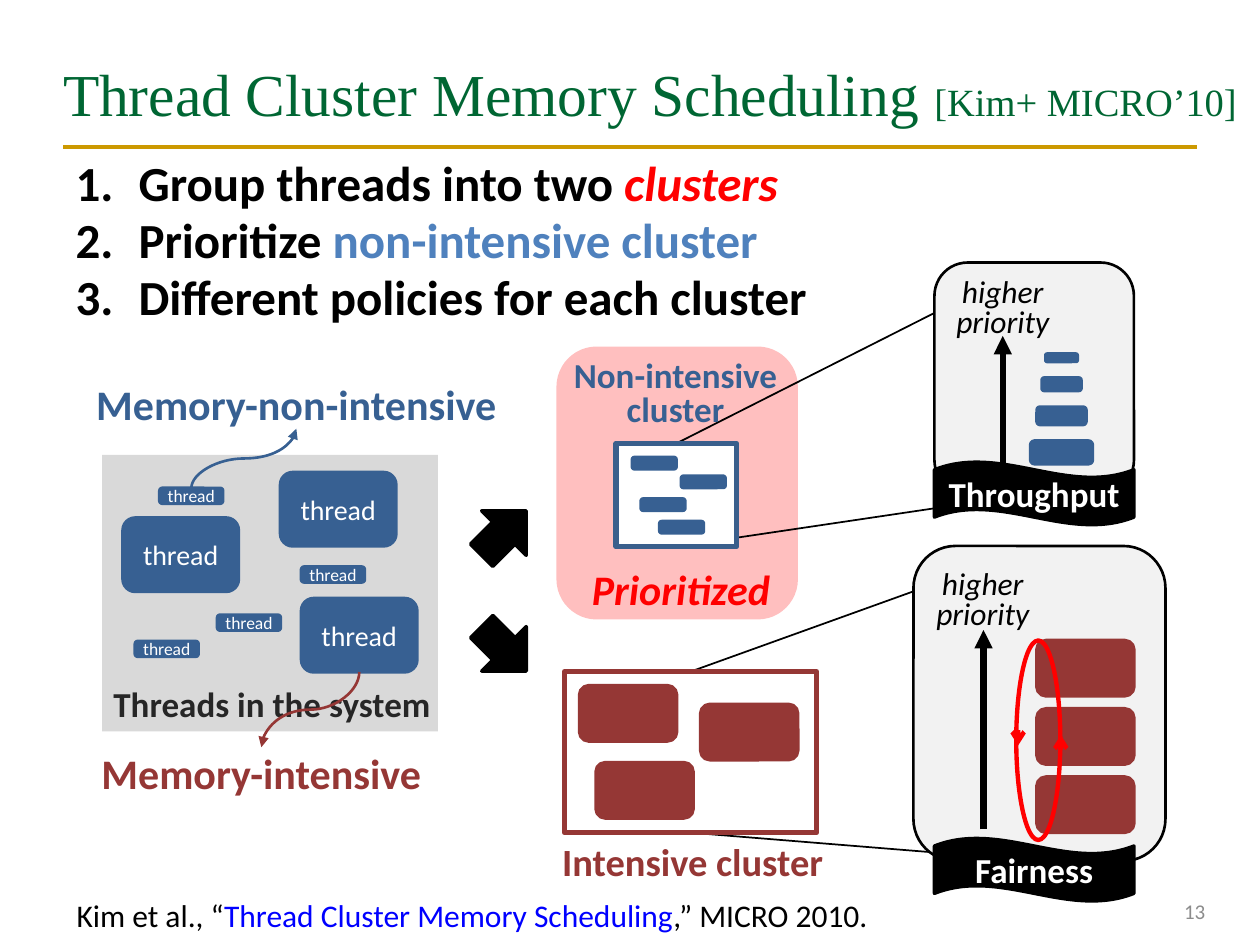
from dataclasses import dataclass

from lxml import etree
from pptx import Presentation
from pptx.dml.color import RGBColor
from pptx.enum import shapes as kinds, text as t
from pptx.oxml.ns import qn
from pptx.util import Pt

SHAPE, LINE, ALIGN = kinds.MSO_SHAPE, kinds.MSO_CONNECTOR, t.PP_ALIGN
TOP, BOTTOM = 0, 2


@dataclass(frozen=True)
class Theme:
    serif: str = "Times New Roman"
    sans: str = "Calibri"
    black: str = "000000"
    white: str = "FFFFFF"
    green: str = "006633"
    gold: str = "CC9900"
    red: str = "FF0000"
    blue: str = "376092"
    frame_blue: str = "3A5F8C"
    light_blue: str = "4F81BD"
    link_blue: str = "0000FF"
    brick: str = "953735"
    charcoal: str = "262626"
    number_gray: str = "8C8C8C"
    system_gray: str = "D9D9D9"
    panel_gray: str = "F2F2F2"
    title: int = 34
    citation: int = 22
    body: int = 28
    heading: int = 24
    caption: int = 22
    label: int = 20
    note: int = 18
    thread: int = 16
    number: int = 12
    small_thread: int = 10


THEME = Theme()
TILE = (55.5, 31.7)


def points(*values):
    return [Pt(value) for value in values]


def add_runs(paragraph, runs, **base):
    """Add (text, changes) runs, each formatted by base updated with its changes."""
    for words, changes in runs:
        run = paragraph.add_run()
        run.text = words
        values = {"name": THEME.sans, "color": THEME.black, **base, **changes}
        run.font.color.rgb = RGBColor.from_string(values.pop("color"))
        for name, value in values.items():
            setattr(run.font, name, Pt(value) if name == "size" else value)


def set_frame(frame, insets=(0, 0), anchor=t.MSO_ANCHOR.TOP):
    across, down = points(*insets)
    values = {"word_wrap": True, "auto_size": t.MSO_AUTO_SIZE.NONE, "vertical_anchor": anchor,
              "margin_left": across, "margin_right": across, "margin_top": down, "margin_bottom": down}
    for name, value in values.items():
        setattr(frame, name, value)


def write(frame, lines, align=ALIGN.CENTER, spacing=1.0, **font):
    for index, words in enumerate(lines):
        paragraph = frame.add_paragraph() if index else frame.paragraphs[0]
        paragraph.alignment, paragraph.line_spacing = align, spacing
        add_runs(paragraph, [(words, {})], **font)


def add_label(slide, box, lines, insets=(0, 0), **format_values):
    frame = slide.shapes.add_textbox(*points(*box)).text_frame
    set_frame(frame, insets)
    write(frame, lines, **format_values)


def add_shape(parent, kind, box, fill=None, line=None, width=2):
    shape = parent.shapes.add_shape(kind, *points(*box))
    shape.shadow.inherit = False
    if fill:
        shape.fill.solid()
        shape.fill.fore_color.rgb = RGBColor.from_string(fill)
    else:
        shape.fill.background()
    if line:
        shape.line.color.rgb = RGBColor.from_string(line)
        shape.line.width = Pt(width)
    else:
        shape.line.fill.background()
    return shape


def add_block(parent, box, color):
    return add_shape(parent, SHAPE.ROUNDED_RECTANGLE, box, color, color)


def add_line(slide, start, end, color, width, head=None, kind=LINE.STRAIGHT):
    connector = slide.shapes.add_connector(kind, *points(*start, *end))
    connector.line.color.rgb = RGBColor.from_string(color)
    connector.line.width = Pt(width)
    properties = connector.element.spPr
    if head:
        etree.SubElement(properties.find(qn("a:ln")), qn("a:tailEnd"), type=head)
    etree.SubElement(properties, qn("a:effectLst"))
    return connector


def add_vertical_curve(slide, start, end, color):
    """Draw an S-curve that leaves and arrives vertically, by a quarter turn."""
    middle_x, middle_y = (start[0] + end[0]) / 2, (start[1] + end[1]) / 2
    half_x, half_y = (end[1] - start[1]) / 2, (start[0] - end[0]) / 2
    curve = add_line(slide, (middle_x - half_x, middle_y - half_y), (middle_x + half_x, middle_y + half_y),
                     color, 1.5, "triangle", LINE.CURVE)
    curve.element.spPr.find(qn("a:xfrm")).set("rot", str(90 * 60000))


def place(placeholder, box):
    for name, value in zip(("left", "top", "width", "height"), points(*box)):
        setattr(placeholder, name, value)


def add_title(slide, box):
    title = slide.shapes.title
    place(title, box)
    set_frame(title.text_frame, (0, 3.6), t.MSO_ANCHOR.MIDDLE)
    paragraph = title.text_frame.paragraphs[0]
    paragraph.alignment = ALIGN.LEFT
    add_runs(paragraph, [("Thread Cluster Memory Scheduling ", {}), ("[Kim+ MICRO’10]", {"size": THEME.citation})],
             name=THEME.serif, size=THEME.title, color=THEME.green)
    add_line(slide, (36, 83.8), (684, 83.8), THEME.gold, 2.25)


def add_steps(slide, box):
    body = slide.placeholders[1]
    place(body, box)
    set_frame(body.text_frame, (7.2, 3.6))
    steps = [
        [("Group threads into two ", {}), ("clusters", {"color": THEME.red, "italic": True})],
        [("Prioritize ", {}), ("non-intensive cluster", {"color": THEME.light_blue})],
        [("Different policies for each cluster", {})],
    ]
    for index, runs in enumerate(steps):
        paragraph = body.text_frame.add_paragraph() if index else body.text_frame.paragraphs[0]
        paragraph.line_spacing = 0.8
        paragraph.space_before = Pt(5.6 if index else 0)
        properties = paragraph._p.get_or_add_pPr()
        properties.set("marL", str(Pt(36)))
        properties.set("indent", str(Pt(-36)))
        etree.SubElement(properties, qn("a:buFont"), typeface="+mj-lt")
        etree.SubElement(properties, qn("a:buAutoNum"), type="arabicPeriod")
        paragraph.font.bold = True
        paragraph.font.size = Pt(THEME.body)
        add_runs(paragraph, runs, size=THEME.body, bold=True)


def add_system(slide, box):
    x, y, width, height = box
    add_shape(slide, SHAPE.RECTANGLE, box, THEME.system_gray)
    thread_sets = [
        ((36, 8.6), THEME.small_thread, [(66, 91.5), (33, 19), (114, 64), (19, 106.5)]),
        ((66, 42), THEME.thread, [(12, 36), (114, 82), (102, 10)]),
    ]
    for size, type_size, offsets in thread_sets:
        for dx, dy in offsets:
            frame = add_block(slide, (x + dx, y + dy, *size), THEME.blue).text_frame
            set_frame(frame, (0, 3.6), t.MSO_ANCHOR.MIDDLE)
            write(frame, ["thread"], size=type_size, color=THEME.white)
    add_label(slide, (x + 6.5, y + 130, 198, 24), ["Threads in the system"],
              align=ALIGN.LEFT, size=THEME.label, bold=True, color=THEME.charcoal)
    add_label(slide, (x - 4, y - 44, 230, 29), ["Memory-non-intensive"],
              size=THEME.heading, bold=True, color=THEME.blue)
    add_label(slide, (x - 10, y + 167, 202, 29), ["Memory-intensive"],
              size=THEME.heading, bold=True, color=THEME.brick)
    add_vertical_curve(slide, (x + 51, y + 19), (x + 111, y - 15), THEME.blue)
    add_vertical_curve(slide, (x + 147, y + 124), (x + 91, y + 167), THEME.brick)


def add_cluster(slide, box, fill, outline, tile_color, tile_size, offsets):
    group = slide.shapes.add_group_shape()
    border = add_shape(group, SHAPE.RECTANGLE, box, fill, outline, 3)
    for dx, dy in offsets:
        add_block(group, (box[0] + dx, box[1] + dy, *tile_size), tile_color)
    return border


def add_prioritized_zone(slide, box):
    x, y, width, height = box
    zone = add_shape(slide, SHAPE.ROUNDED_RECTANGLE, box, THEME.red)
    etree.SubElement(zone.element.spPr.find(".//" + qn("a:srgbClr")), qn("a:alpha"), val="25000")
    add_label(slide, (x + 5, y + 8.6, 126, 40), ["Non-intensive", "cluster"],
              spacing=0.8, size=THEME.label, bold=True, color=THEME.blue)
    add_label(slide, (x + 9.6, y + 126, 123, 32), ["Prioritized"], (7.2, 3.6),
              spacing=0.8, size=THEME.heading, bold=True, italic=True, color=THEME.red)
    border = add_cluster(slide, (x + 34, y + 55.4, 69, 59), THEME.white, THEME.frame_blue, THEME.blue,
                         (25, 6.5), [(9.4, 8), (14.4, 31.7), (37.4, 18.7), (25, 44.6)])
    return zone, border


def add_intensive_cluster(slide, box):
    add_label(slide, (box[0] - 10.8, box[1] + 100, 168, 22), ["Intensive cluster"],
              spacing=0.8, size=THEME.caption, bold=True, color=THEME.brick)
    return add_cluster(slide, box, None, THEME.brick, THEME.brick, TILE, [(8.6, 8), (77.8, 18.7), (18, 52)])


def add_policy_panel(slide, box, name, label_offset, arrow, banner_offset):
    """Draw a panel with a priority arrow given as (dx, from dy, to dy)."""
    x, y, width, height = box
    panel = add_shape(slide, SHAPE.ROUNDED_RECTANGLE, box, THEME.panel_gray, THEME.black, 1.5)
    dx, low, high = arrow
    add_line(slide, (x + dx, y + low), (x + dx, y + high), THEME.black, 3.5, "triangle")
    add_label(slide, (x + label_offset[0], y + label_offset[1], 62, 43), ["higher", "priority"], (0, 3.6),
              spacing=0.8, size=THEME.note, italic=True)
    banner = add_shape(slide, SHAPE.WAVE, (x + banner_offset[0], y + banner_offset[1], 114, 36),
                       THEME.black, THEME.black)
    set_frame(banner.text_frame, (7.2, 3.6), t.MSO_ANCHOR.MIDDLE)
    write(banner.text_frame, [name], size=THEME.label, bold=True, color=THEME.white)
    return panel


def add_throughput(slide, box):
    x, y = box[:2]
    panel = add_policy_panel(slide, box, "Throughput", (8, 6), (39, 120, 42), (0, 114))
    for dy, width, height in [(52.3, 18, 4.3), (66, 22.3, 7.2), (82.6, 28, 10), (102, 35.3, 13)]:
        add_block(slide, (x + 72.6 - width / 2, y + dy, width, height), THEME.blue)
    return panel


def add_fairness(slide, box):
    x, y = box[:2]
    panel = add_policy_panel(slide, box, "Fairness", (8.6, 10.8), (40, 162, 48), (12, 167))
    for index in range(3):
        add_block(slide, (x + 70.5, y + 54 + 39 * index, *TILE), THEME.brick)
    add_shape(slide, SHAPE.OVAL, (x + 58.7, y + 54, 25.2, 114), None, THEME.red, 2.5)
    for dx, start, end in [(59.8, 108, 114), (84.2, 114, 108)]:
        add_line(slide, (x + dx, y + start), (x + dx, y + end), THEME.red, 2.5, "arrow")
    return panel


def add_callouts(backdrop, slide, border, panel, sides):
    """Join a cluster to its panel, just above the backdrop and behind the rest."""
    for border_side, panel_side in sides:
        connector = add_line(slide, (0, 0), (0, 0), THEME.black, 1)
        connector.begin_connect(panel, panel_side)
        connector.end_connect(border, border_side)
        backdrop.element.addnext(connector.element)


def add_footer(slide, box):
    frame = slide.shapes.add_textbox(*points(*box)).text_frame
    set_frame(frame, (7.2, 3.6))
    add_runs(frame.paragraphs[0], [("Kim et al., “", {}),
             ("Thread Cluster Memory Scheduling", {"color": THEME.link_blue}), (",” MICRO 2010.", {})], size=THEME.note)
    add_label(slide, (654, 508.6, 41.8, 25), ["13"], (7.2, 5),
              align=ALIGN.RIGHT, size=THEME.number, color=THEME.number_gray)


def main():
    presentation = Presentation()
    presentation.slide_width, presentation.slide_height = points(720, 540)
    slide = presentation.slides.add_slide(presentation.slide_layouts[1])
    add_title(slide, (36, 21.6, 675.4, 62.6))
    add_steps(slide, (36, 90, 456, 108))
    zone, light_border = add_prioritized_zone(slide, (318, 198, 138, 156))
    add_system(slide, (58.3, 260, 192, 158))
    for top, angle in [(286.6, -45), (352.8, 45)]:
        add_shape(slide, SHAPE.RIGHT_ARROW, (270, top, 36, 36), THEME.black, THEME.black).rotation = angle
    heavy_border = add_intensive_cluster(slide, (322.6, 383.8, 144, 92))
    throughput = add_throughput(slide, (534, 150, 114, 132))
    fairness = add_fairness(slide, (522, 312, 144, 180))
    sides = [(TOP, TOP), (BOTTOM, BOTTOM)]
    add_callouts(zone, slide, light_border, throughput, sides)
    add_callouts(zone, slide, heavy_border, fairness, sides)
    add_footer(slide, (36.7, 508.3, 473, 28.8))
    presentation.save("out.pptx")


if __name__ == "__main__":
    main()
